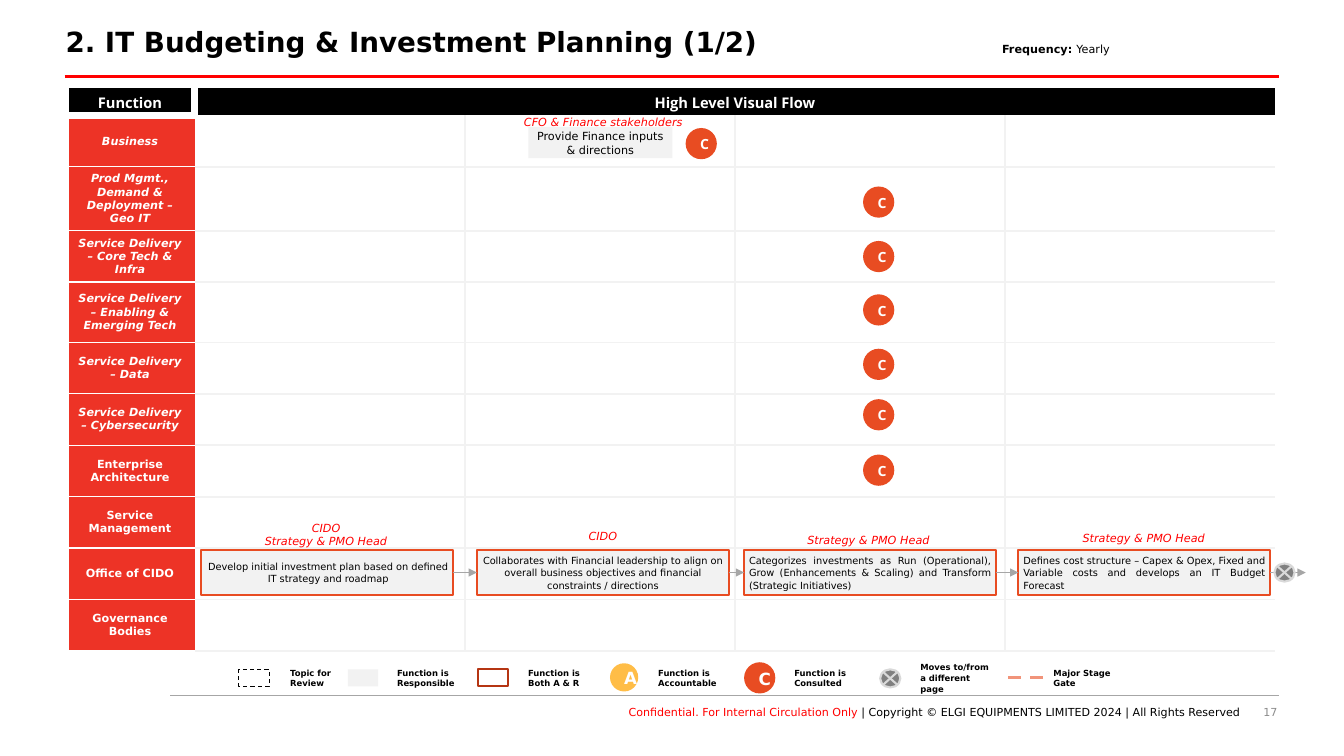
from dataclasses import dataclass
from typing import Optional

import pptx
import pptx.dml.color
import pptx.enum.dml
import pptx.enum.shapes
import pptx.enum.text
import pptx.oxml
import pptx.oxml.ns
import pptx.util

PX = 9144  # 100 px to the inch
COLORS = {
    "black": "000000", "white": "FFFFFF", "red": "FF0000", "label": "ED3326",
    "pale": "F2F2F2", "orange": "E84C22", "rust": "B53513", "amber": "FFBD47",
    "salmon": "F1947A", "rule": "A6A6A6", "page": "8C8C8C", "dark": "808080",
    "light": "D9D9D9",
}
SHAPE = pptx.enum.shapes.MSO_SHAPE
ALIGN = pptx.enum.text.PP_ALIGN
ANCHOR = pptx.enum.text.MSO_ANCHOR
FLOW_TOP, FLOW_W, FLOW_H = 546, 250, 44
LEGEND_TOP = 656


@dataclass
class TextStyle:
    size: float
    color: str = "black"
    font: str = "DejaVu Sans"
    bold: bool = False
    italic: bool = False
    align: ALIGN = ALIGN.LEFT
    middle: bool = False
    spacing: Optional[float] = None
    insets: tuple[int, int, int, int] = (10, 5, 10, 5)
    wrap: bool = True
    grow: bool = False


@dataclass
class Symbol:
    kind: SHAPE
    left: int
    top: int
    width: int
    height: int
    fill: Optional[str] = None
    line: Optional[str] = None
    line_pt: float = 1.5
    dashed: bool = False
    text: str = ""
    style: Optional[TextStyle] = None


@dataclass
class Step:
    left: int
    text: str
    style: TextStyle
    role: str
    role_box: tuple[int, int, int, int]
    role_style: TextStyle


def rgb(name: str):
    return pptx.dml.color.RGBColor.from_string(COLORS[name])


def style_run(r, style: TextStyle) -> None:
    r.font.size, r.font.name = pptx.util.Pt(style.size), style.font
    r.font.bold, r.font.italic = style.bold, style.italic
    r.font.color.rgb = rgb(style.color)


def write(tf, text: str, style: TextStyle) -> None:
    tf.text = text
    for p in tf.paragraphs:
        p.alignment = style.align
        if style.spacing:
            p.line_spacing = style.spacing
        for r in p.runs:
            style_run(r, style)


def write_frame(tf, text: str, style: TextStyle) -> None:
    """Write text and set the frame's insets, anchor, wrap and autosize."""
    write(tf, text, style)
    tf.margin_left, tf.margin_top, tf.margin_right, tf.margin_bottom = (
        n * PX for n in style.insets)
    tf.vertical_anchor = ANCHOR.MIDDLE if style.middle else ANCHOR.TOP
    tf.word_wrap = style.wrap
    if style.grow:
        tf.auto_size = pptx.enum.text.MSO_AUTO_SIZE.SHAPE_TO_FIT_TEXT


def add_text(s, box: tuple[int, int, int, int], text: str, style: TextStyle):
    tf = s.shapes.add_textbox(*(n * PX for n in box)).text_frame
    write_frame(tf, text, style)
    return tf.paragraphs[0]


def append_run(p, text: str, style: TextStyle) -> None:
    r = p.add_run()
    r.text = text
    style_run(r, style)


def add_symbol(s, sym: Symbol):
    sp = s.shapes.add_shape(sym.kind, sym.left * PX, sym.top * PX, sym.width * PX, sym.height * PX)
    sp.shadow.inherit = False
    if sym.fill:
        sp.fill.solid()
        sp.fill.fore_color.rgb = rgb(sym.fill)
    else:
        sp.fill.background()
    if sym.line:
        sp.line.color.rgb = rgb(sym.line)
        sp.line.width = pptx.util.Pt(sym.line_pt)
        if sym.dashed:
            sp.line.dash_style = pptx.enum.dml.MSO_LINE.DASH
    else:
        sp.line.fill.background()
    if sym.style:
        write_frame(sp.text_frame, sym.text, sym.style)
    return sp


def add_line(s, x1: int, x2: int, y: int, color: str, pt: float, arrow: bool = False):
    c = s.shapes.add_connector(pptx.enum.shapes.MSO_CONNECTOR.STRAIGHT,
                               x1 * PX, y * PX, x2 * PX, y * PX)
    c.line.color.rgb = rgb(color)
    c.line.width = pptx.util.Pt(pt)
    if arrow:
        pptx.oxml.ns  # namespace helpers used below
        ln = c.line._get_or_add_ln()
        ln.append(pptx.oxml.parse_xml(
            f'<a:tailEnd {pptx.oxml.ns.nsdecls("a")} type="triangle"/>'))
    c._element.spPr.append(pptx.oxml.parse_xml(f'<a:effectLst {pptx.oxml.ns.nsdecls("a")}/>'))
    return c


def format_cell(cell, fill: Optional[str], borders: dict[str, tuple[str, float]]) -> None:
    """Set the fill and the borders, keyed L, R, T, B; a side not named has none."""
    tc_pr = cell._tc.get_or_add_tcPr()
    ns = pptx.oxml.ns.nsdecls("a")
    for side in "LRTB":
        color, pt = borders.get(side, (None, 0))
        paint = (f'<a:solidFill><a:srgbClr val="{COLORS[color]}"/></a:solidFill>'
                 if color else "<a:noFill/>")
        tc_pr.append(pptx.oxml.parse_xml(
            f'<a:ln{side} {ns} w="{int(pt * 12700)}">{paint}</a:ln{side}>'))
    if fill:
        cell.fill.solid()
        cell.fill.fore_color.rgb = rgb(fill)
    else:
        cell.fill.background()


HEADER = TextStyle(10.5, "white", "Open Sans", bold=True, align=ALIGN.CENTER)
ROLE = TextStyle(8, "red", italic=True, align=ALIGN.CENTER, wrap=False, grow=True)
ROLE_WRAPPED = TextStyle(8, "red", italic=True, align=ALIGN.CENTER, grow=True)
LEGEND = TextStyle(6, bold=True, middle=True, spacing=1.06, insets=(10,) * 4)
KEY = TextStyle(12, "white", bold=True, align=ALIGN.CENTER, middle=True, spacing=1.06,
                insets=(10,) * 4)
MARK = TextStyle(10, "white", "Open Sans", bold=True, align=ALIGN.CENTER, middle=True,
                 spacing=1.06, insets=(10,) * 4)


def step_style(align: ALIGN, size: float = 7, left: int = 5, right: int = 5) -> TextStyle:
    return TextStyle(size, align=align, middle=True, spacing=1.06, insets=(left, 0, right, 0))


# function name, row height, italic
FUNCTIONS = [
    ("Business", 51, True),
    ("Prod Mgmt., Demand & Deployment – Geo IT", 63, True),
    ("Service Delivery – Core Tech & Infra", 51, True),
    ("Service Delivery – Enabling & Emerging Tech", 60, True),
    ("Service Delivery – Data", 51, True),
    ("Service Delivery – Cybersecurity", 51, True),
    ("Enterprise Architecture", 51, False),
    ("Service Management", 51, False),
    ("Office of CIDO", 51, False),
    ("Governance Bodies", 51, False),
]
STEPS = [
    Step(199, "Develop initial investment plan based on defined IT strategy and roadmap",
         step_style(ALIGN.CENTER, left=3, right=0),
         "CIDO\nStrategy & PMO Head", (252, 512, 143, 37), ROLE),
    Step(473, "Collaborates with Financial leadership to align on overall business objectives "
         "and financial constraints / directions", step_style(ALIGN.CENTER),
         "CIDO", (573, 520, 50, 24), ROLE),
    Step(738, "Categorizes investments as Run (Operational), Grow (Enhancements & Scaling) "
         "and Transform (Strategic Initiatives)", step_style(ALIGN.JUSTIFY),
         "Strategy & PMO Head", (790, 524, 143, 24), ROLE_WRAPPED),
    Step(1010, "Defines cost structure – Capex & Opex, Fixed and Variable costs and develops "
         "an IT Budget Forecast", step_style(ALIGN.JUSTIFY),
         "Strategy & PMO Head", (1063, 522, 143, 24), ROLE),
]
LEGEND_SYMBOLS = [
    Symbol(SHAPE.RECTANGLE, 237, 664, 30, 17, line="black", line_pt=0.75, dashed=True),
    Symbol(SHAPE.RECTANGLE, 345, 664, 30, 17, fill="pale"),
    Symbol(SHAPE.RECTANGLE, 474, 664, 30, 17, line="rust"),
    Symbol(SHAPE.OVAL, 605, 658, 28, 28, fill="amber", text="A", style=KEY),
    Symbol(SHAPE.OVAL, 738, 657, 31, 31, fill="orange", text="C", style=KEY),
    Symbol(SHAPE.FLOWCHART_SUMMING_JUNCTION, 873, 664, 20, 18, "dark", "light"),
]
LEGEND_LABELS = [
    (278, "Topic for\nReview"), (384, "Function is Responsible"),
    (514, "Function is Both A & R"), (643, "Function is Accountable"),
    (778, "Function is Consulted"), (903, "Moves to/from a different page"),
    (1035, "Major Stage Gate"),
]
CONSULTED = [(680, 127)] + [(856, top) for top in (185, 239, 292, 346, 396, 451)]


def add_function_table(s) -> None:
    rows, cols = len(FUNCTIONS) + 1, 5
    table = s.shapes.add_table(rows, cols, 65 * PX, 87 * PX, 1201 * PX, 560 * PX).table
    table.first_row = table.horz_banding = False
    for col, width in zip(table.columns, [128] + [268] * 4):
        col.width = width * PX
    thick, thin, grid = ("white", 6), ("white", 1), ("pale", 1.5)
    table.rows[0].height = 27 * PX
    table.cell(0, 1).merge(table.cell(0, cols - 1))
    for c, title in enumerate(("Function", "High Level Visual Flow")):
        cell = table.cell(0, c)
        write(cell.text_frame, title, HEADER)
        cell.vertical_anchor = ANCHOR.MIDDLE
        sides = {"L": thick, "T": thin}
        format_cell(cell, "black", sides if c else sides | {"R": thick, "B": thick})
    for i, (name, height, italic) in enumerate(FUNCTIONS, start=1):
        table.rows[i].height = height * PX
        label = table.cell(i, 0)
        write(label.text_frame, name, TextStyle(8, "white", bold=True, italic=italic,
                                                align=ALIGN.CENTER))
        label.vertical_anchor = ANCHOR.MIDDLE
        format_cell(label, "label", {"L": thick, "T": thick if i == 1 else thin, "B": thin})
        for c in range(1, cols):
            drawn = {"B": True, "T": i > 1, "L": c > 1, "R": c < cols - 1}
            format_cell(table.cell(i, c), None, {side: grid for side, on in drawn.items() if on})


def add_flow(s) -> None:
    boxes = []
    for step in STEPS:
        boxes.append(add_symbol(s, Symbol(SHAPE.RECTANGLE, step.left, FLOW_TOP, FLOW_W, FLOW_H,
                                          "pale", "orange", text=step.text, style=step.style)))
        add_text(s, step.role_box, step.role, step.role_style)
    middle = FLOW_TOP + FLOW_H // 2
    ends = [step.left for step in STEPS[1:]] + [1295]
    for i, (step, end) in enumerate(zip(STEPS, ends)):
        arrow = add_line(s, step.left + FLOW_W, end, middle, "rule", 1, arrow=True)
        arrow.begin_connect(boxes[i], 3)
        if i + 1 < len(boxes):
            arrow.end_connect(boxes[i + 1], 1)
    add_symbol(s, Symbol(SHAPE.FLOWCHART_SUMMING_JUNCTION, 1264, 559, 20, 18, "dark", "light"))
    add_text(s, (507, 109, 183, 24), "CFO & Finance stakeholders", ROLE)
    add_symbol(s, Symbol(SHAPE.RECTANGLE, 524, 126, 143, 31, "pale",
                         text="Provide Finance inputs & directions",
                         style=step_style(ALIGN.CENTER, 8)))
    for left, top in CONSULTED:
        add_symbol(s, Symbol(SHAPE.OVAL, left, top, 31, 31, "orange", text="C", style=MARK))


def add_legend(s) -> None:
    for sym in LEGEND_SYMBOLS:
        add_symbol(s, sym)
    gate = add_line(s, 1000, 1035, 672, "salmon", 2.25)
    gate.line.dash_style = pptx.enum.dml.MSO_LINE.DASH
    for left, text in LEGEND_LABELS:
        add_text(s, (left, LEGEND_TOP, 90, 33), text, LEGEND)


def add_title_and_footer(s) -> None:
    add_line(s, 169, 1269, 690, "rule", 0.5)
    add_line(s, 64, 1269, 76, "red", 2.25)
    add_text(s, (65, 23, 1201, 41), "2. IT Budgeting & Investment Planning (1/2)",
             TextStyle(19.8, bold=True, spacing=0.9, insets=(0, 5, 10, 5)))
    p = add_text(s, (984, 37, 297, 24), "Frequency: ", TextStyle(8, bold=True, grow=True))
    append_run(p, "Yearly", TextStyle(8))
    flush = {"align": ALIGN.RIGHT, "insets": (0,) * 4}
    add_text(s, (967, 700, 300, 20), "17", TextStyle(7.9, "page", **flush))
    p = add_text(s, (246, 700, 984, 20), "Conﬁdential. For Internal Circulation Only ",
                 TextStyle(7.9, "red", **flush))
    append_run(p, "| Copyright © ELGI EQUIPMENTS LIMITED 2024 | All Rights Reserved",
               TextStyle(7.9))


def main() -> None:
    prs = pptx.Presentation()
    prs.slide_width, prs.slide_height = 1333 * PX, 750 * PX
    s = prs.slides.add_slide(prs.slide_layouts[6])
    add_title_and_footer(s)
    add_function_table(s)
    add_legend(s)
    add_flow(s)
    prs.save("out.pptx")


if __name__ == "__main__":
    main()
